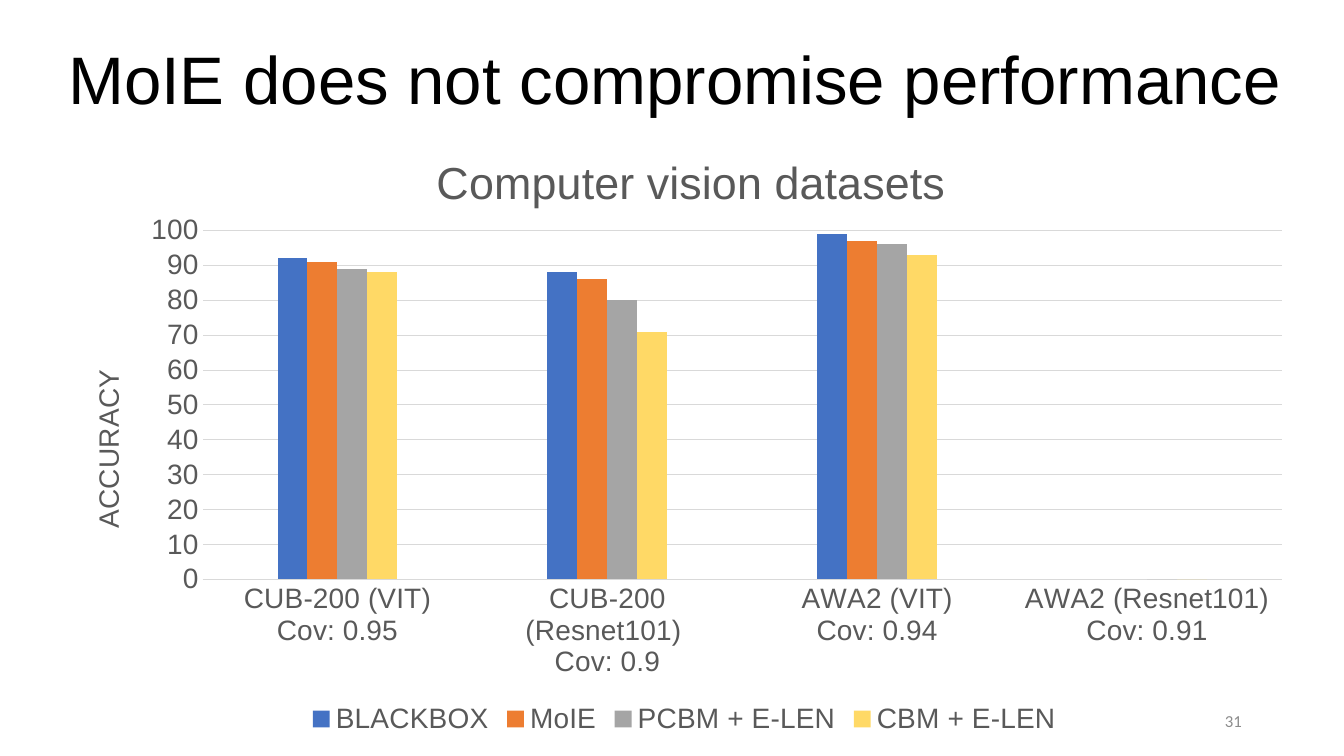
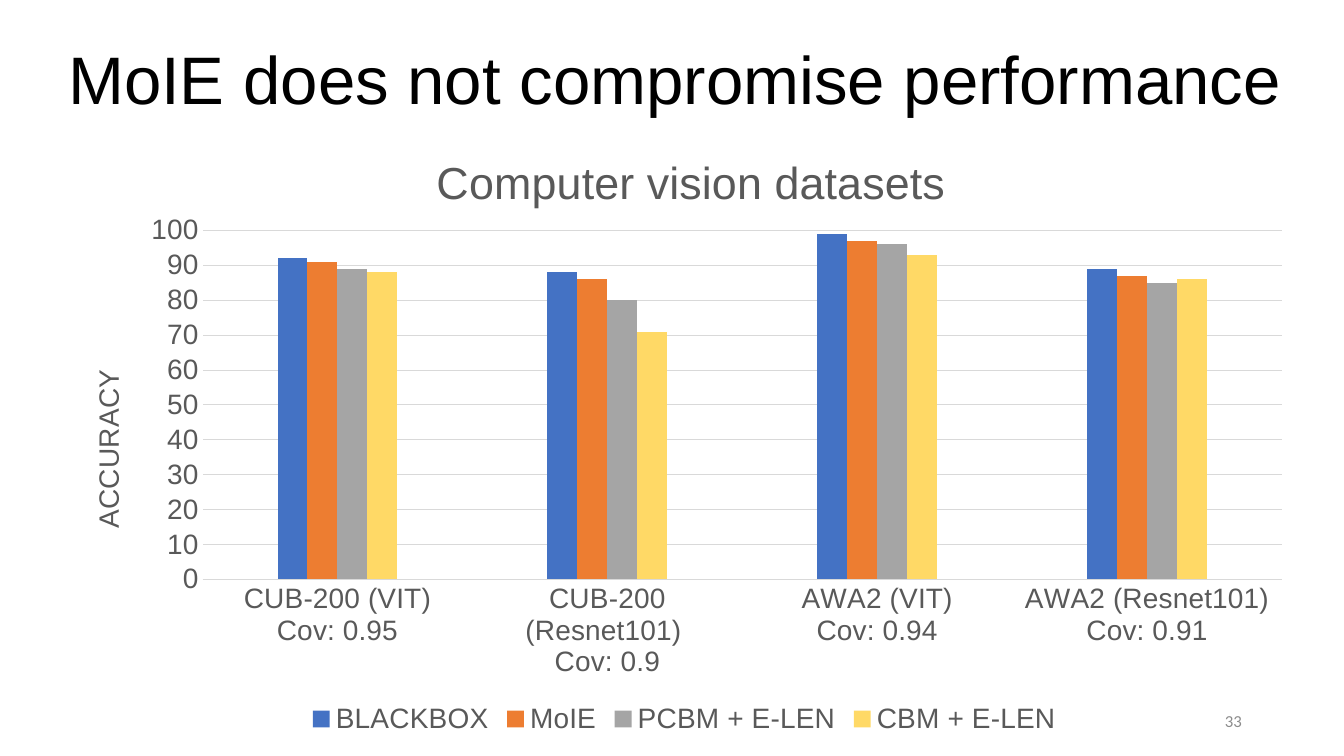
from lxml.etree import SubElement
from pptx import Presentation
from pptx.chart.data import CategoryChartData
from pptx.dml.color import RGBColor
from pptx.enum.chart import XL_CHART_TYPE, XL_LEGEND_POSITION, XL_TICK_MARK
from pptx.enum.text import MSO_ANCHOR, PP_ALIGN
from pptx.oxml.ns import qn
from pptx.util import Cm, Pt

BLACK = RGBColor(0x00, 0x00, 0x00)
TEXT_GRAY = RGBColor(0x59, 0x59, 0x59)
NUMBER_GRAY = RGBColor(0x8C, 0x8C, 0x8C)
GRID_GRAY = RGBColor(0xD9, 0xD9, 0xD9)
BLUE = RGBColor(0x44, 0x72, 0xC4)
ORANGE = RGBColor(0xED, 0x7D, 0x31)
GRAY = RGBColor(0xA5, 0xA5, 0xA5)
YELLOW = RGBColor(0xFF, 0xD9, 0x66)

TITLE_FONT = {"name": "Arial", "size": Pt(48)}
NUMBER_FONT = {"name": "Calibri", "size": Pt(12)}
HEADING_FONT = {"name": "Arial", "size": Pt(32), "bold": False}
LABEL_FONT = {"name": "Arial", "size": Pt(20), "bold": False}

CATEGORIES = [
    "CUB-200 (VIT)\nCov: 0.95",
    "CUB-200 (Resnet101) \nCov: 0.9",
    "AWA2 (VIT)\nCov: 0.94",
    "AWA2 (Resnet101)\nCov: 0.91",
]
METHODS = [
    ("BLACKBOX", BLUE, [92, 88, 99]),
    ("MoIE", ORANGE, [91, 86, 97]),
    ("PCBM + E-LEN", GRAY, [89, 80, 96]),
    ("CBM + E-LEN", YELLOW, [88, 71, 93]),
]
PAGES = [("31", [None, None, 0, 0]), ("33", [89, 87, 85, 86])]


def style(font, values, color):
    for key, value in values.items():
        setattr(font, key, value)
    font.color.rgb = color


def place(element, index, values):
    for old in element.findall(qn("c:layout")):
        element.remove(old)
    layout = SubElement(element, qn("c:layout"))
    element.insert(index, layout)
    manual = SubElement(layout, qn("c:manualLayout"))
    for key, value in values.items():
        SubElement(manual, qn("c:" + key)).set("val", str(value))


deck = Presentation()
deck.slide_width, deck.slide_height = Cm(33.87), Cm(19.05)

for number, last_values in PAGES:
    page = deck.slides.add_slide(deck.slide_layouts[6])

    data = CategoryChartData()
    data.categories = CATEGORIES
    for (name, color, values), last in zip(METHODS, last_values):
        data.add_series(name, values + [last])
    chart = page.shapes.add_chart(
        XL_CHART_TYPE.COLUMN_CLUSTERED,
        Cm(1.52), Cm(3.12), Cm(31.45), Cm(15.54), data,
    ).chart
    style(chart.font, LABEL_FONT, TEXT_GRAY)

    plot = chart.plots[0]
    plot.gap_width = 500
    plot.overlap = 0
    plot.vary_by_categories = False
    for series, (name, color, values) in zip(plot.series, METHODS):
        series.format.fill.solid()
        series.format.fill.fore_color.rgb = color

    category_axis, value_axis = chart.category_axis, chart.value_axis
    for axis in (category_axis, value_axis):
        axis.major_tick_mark = axis.minor_tick_mark = XL_TICK_MARK.NONE
        style(axis.tick_labels.font, LABEL_FONT, TEXT_GRAY)
    value_axis.minimum_scale, value_axis.maximum_scale = 0, 100
    value_axis.major_unit = 10
    value_axis.format.line.fill.background()
    for line in (category_axis.format.line, value_axis.major_gridlines.format.line):
        line.color.rgb = GRID_GRAY
        line.width = Pt(0.75)

    chart.has_legend = True
    chart.legend.position = XL_LEGEND_POSITION.BOTTOM
    chart.legend.include_in_layout = False
    style(chart.legend.font, LABEL_FONT, TEXT_GRAY)

    for heading, text, font, left, top in (
        (chart.chart_title, "Computer vision datasets", HEADING_FONT, 0.295, 0.035),
        (value_axis.axis_title, "ACCURACY", LABEL_FONT, 0.02, 0.39),
    ):
        para = heading.text_frame.paragraphs[0]
        span = para.add_run()
        span.text = text
        style(span.font, font, TEXT_GRAY)
        place(heading._element, 1, {"xMode": "edge", "yMode": "edge", "x": left, "y": top})
    body = value_axis.axis_title._element.find(".//" + qn("a:bodyPr"))
    body.set("rot", "-5400000")
    body.set("vert", "horz")
    place(
        chart._chartSpace.find(".//" + qn("c:plotArea")), 0,
        {"layoutTarget": "inner", "xMode": "edge", "yMode": "edge",
         "x": 0.114, "y": 0.173, "w": 0.865, "h": 0.566},
    )

    for text, font, color, align, anchor, wrap, bounds in (
        ("MoIE does not compromise performance ", TITLE_FONT, BLACK,
         PP_ALIGN.CENTER, MSO_ANCHOR.TOP, False, (1.09, 0.81, 32.31, 2.31)),
        (number, NUMBER_FONT, NUMBER_GRAY,
         PP_ALIGN.RIGHT, MSO_ANCHOR.MIDDLE, True, (23.93, 17.65, 7.62, 1.02)),
    ):
        box = page.shapes.add_textbox(*map(Cm, bounds))
        box.text_frame.word_wrap = wrap
        box.text_frame.vertical_anchor = anchor
        para = box.text_frame.paragraphs[0]
        para.alignment = align
        span = para.add_run()
        span.text = text
        style(span.font, font, color)

deck.save("out.pptx")
